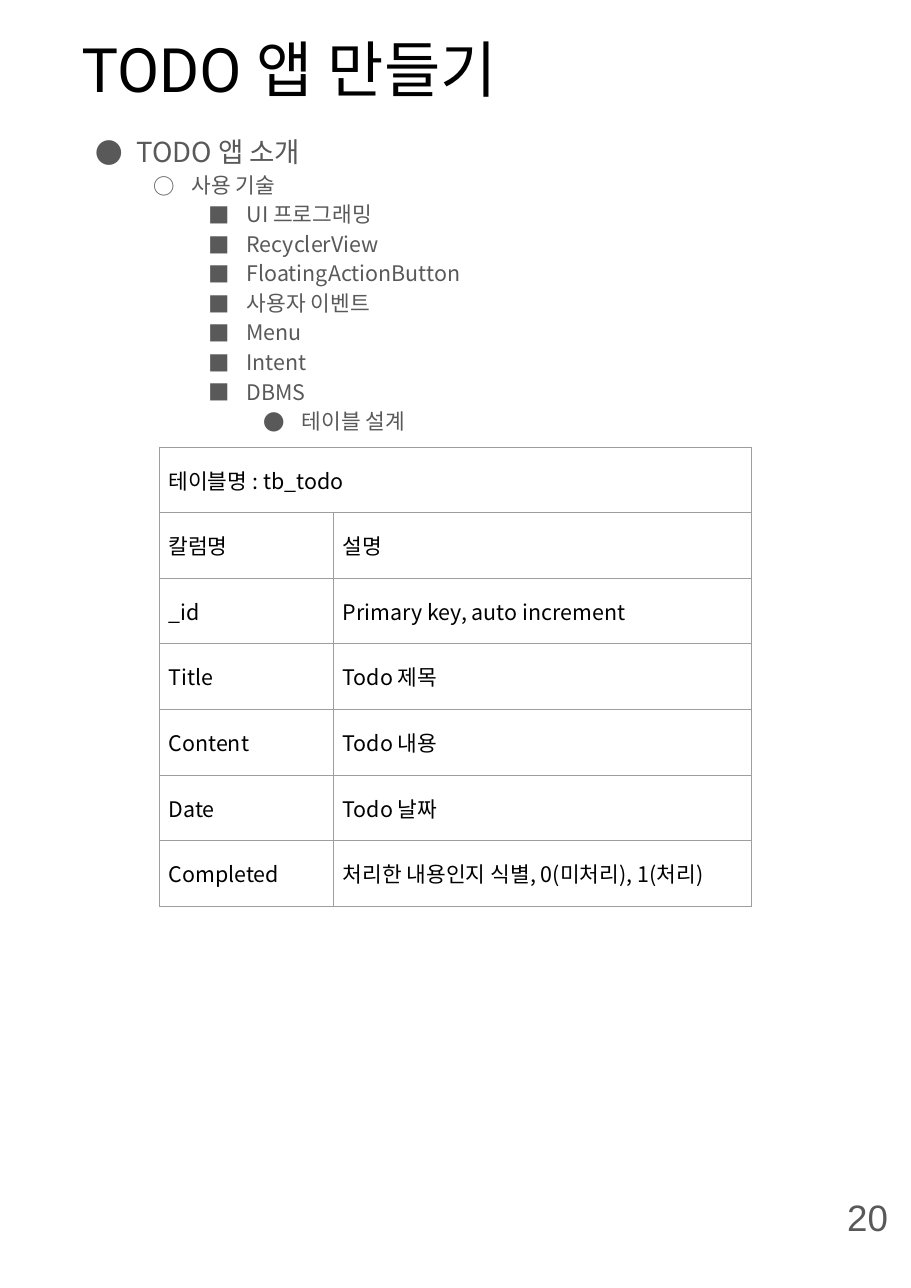
from lxml import etree
from pptx import Presentation
from pptx.dml.color import RGBColor
from pptx.enum.text import MSO_ANCHOR, MSO_AUTO_SIZE, PP_ALIGN
from pptx.oxml.ns import qn
from pptx.util import Pt

LEFT, RIGHT = PP_ALIGN.LEFT, PP_ALIGN.RIGHT
TOP, MIDDLE = MSO_ANCHOR.TOP, MSO_ANCHOR.MIDDLE
NO_AUTOFIT = MSO_AUTO_SIZE.NONE
TITLE_ONLY = 5
PIXELS_PER_INCH = 200
BLACK, GRAY, BORDER = "000000", "595959", "9E9E9E"
KOREAN_FONT = "Noto Sans CJK KR"
BULLETS = "●○■●"

OUTLINE = [
    (0, "TODO 앱 소개"),
    (1, "사용 기술"),
    (2, "UI 프로그래밍"),
    (2, "RecyclerView"),
    (2, "FloatingActionButton"),
    (2, "사용자 이벤트"),
    (2, "Menu"),
    (2, "Intent"),
    (2, "DBMS"),
    (3, "테이블 설계"),
]
TODO_TABLE = [
    ("테이블명 : tb_todo", ""),
    ("칼럼명", "설명"),
    ("_id", "Primary key, auto increment"),
    ("Title", "Todo 제목"),
    ("Content", "Todo 내용"),
    ("Date", "Todo 날짜"),
    ("Completed", "처리한 내용인지 식별, 0(미처리), 1(처리)"),
]


def px(length):
    return length * 914400 // PIXELS_PER_INCH


def color(value):
    return RGBColor.from_string(value)


def write(paragraph, text, size=14, font=KOREAN_FONT, fill=BLACK, align=LEFT, spacing=1.0):
    paragraph.alignment = align
    paragraph.line_spacing = spacing
    paragraph.space_before = paragraph.space_after = Pt(0)
    run = paragraph.add_run()
    run.text = text
    run.font.size = Pt(size)
    run.font.name = font
    run.font.color.rgb = color(fill)
    properties = run.font.color and run._r.get_or_add_rPr()
    for tag in ("a:ea", "a:cs"):
        etree.SubElement(properties, qn(tag), typeface=font)


def add_bullet(paragraph, level, fill):
    paragraph.level = level
    properties = paragraph._p.get_or_add_pPr()
    properties.set("marL", str(px(100 * (level + 1))))
    properties.set("indent", str(px(-69 if level else -75)))
    bullet_color = etree.SubElement(properties, qn("a:buClr"))
    etree.SubElement(bullet_color, qn("a:srgbClr"), val=fill)
    etree.SubElement(properties, qn("a:buFont"), typeface=KOREAN_FONT)
    etree.SubElement(properties, qn("a:buChar"), char=BULLETS[level])


def add_borders(cell, fill, width):
    properties = cell._tc.get_or_add_tcPr()
    for side in ("a:lnL", "a:lnR", "a:lnT", "a:lnB"):
        line = etree.SubElement(properties, qn(side), w=str(Pt(width)))
        solid = etree.SubElement(line, qn("a:solidFill"))
        etree.SubElement(solid, qn("a:srgbClr"), val=fill)


class SlideBuilder:
    def __init__(self, presentation):
        self.slide = presentation.slides.add_slide(presentation.slide_layouts[TITLE_ONLY])

    def frame(self, shape, anchor):
        text_frame = shape.text_frame
        text_frame.word_wrap = True
        text_frame.auto_size = NO_AUTOFIT
        text_frame.vertical_anchor = anchor
        text_frame.margin_left = text_frame.margin_right = px(20)
        text_frame.margin_top = text_frame.margin_bottom = px(20)
        return text_frame

    def title(self, text, left, top, width, height, **style):
        shape = self.slide.shapes.title
        shape.left, shape.top = px(left), px(top)
        shape.width, shape.height = px(width), px(height)
        write(self.frame(shape, TOP).paragraphs[0], text, **style)

    def text(self, text, left, top, width, height, anchor=TOP, **style):
        shape = self.slide.shapes.add_textbox(px(left), px(top), px(width), px(height))
        write(self.frame(shape, anchor).paragraphs[0], text, **style)

    def outline(self, items, left, top, width, height):
        shape = self.slide.shapes.add_textbox(px(left), px(top), px(width), px(height))
        text_frame = self.frame(shape, TOP)
        for index, (level, text) in enumerate(items):
            paragraph = text_frame.add_paragraph() if index else text_frame.paragraphs[0]
            add_bullet(paragraph, level, GRAY)
            write(paragraph, text, size=14 if level else 18, fill=GRAY, spacing=1.15)

    def table(self, rows, left, top, column_widths, row_height):
        shape = self.slide.shapes.add_table(
            len(rows), len(column_widths), px(left), px(top),
            px(sum(column_widths)), px(row_height * len(rows)))
        table = shape.table
        table.first_row = table.horz_banding = False
        for column, width in zip(table.columns, column_widths):
            column.width = px(width)
        for row_index, texts in enumerate(rows):
            table.rows[row_index].height = px(row_height)
            for column_index, text in enumerate(texts):
                cell = table.cell(row_index, column_index)
                add_borders(cell, BORDER, 0.75)
                cell.fill.background()
                cell.margin_left = cell.margin_right = px(16)
                cell.margin_top = cell.margin_bottom = px(31)
                if text:
                    write(cell.text_frame.paragraphs[0], text)
        table.cell(0, 0).merge(table.cell(0, len(column_widths) - 1))


def main():
    presentation = Presentation()
    presentation.slide_width, presentation.slide_height = px(1654), px(2338)
    builder = SlideBuilder(presentation)
    builder.title("TODO 앱 만들기", 128, 36, 1414, 178, size=40, font="Roboto")
    builder.outline(OUTLINE, 128, 216, 1414, 1904)
    builder.text("20", 1478, 2120, 154, 178, anchor=MIDDLE,
                 size=24, font="Arial", fill=GRAY, align=RIGHT)
    builder.table(TODO_TABLE, 290, 812, (316, 758), 119)
    presentation.save("out.pptx")


if __name__ == "__main__":
    main()
